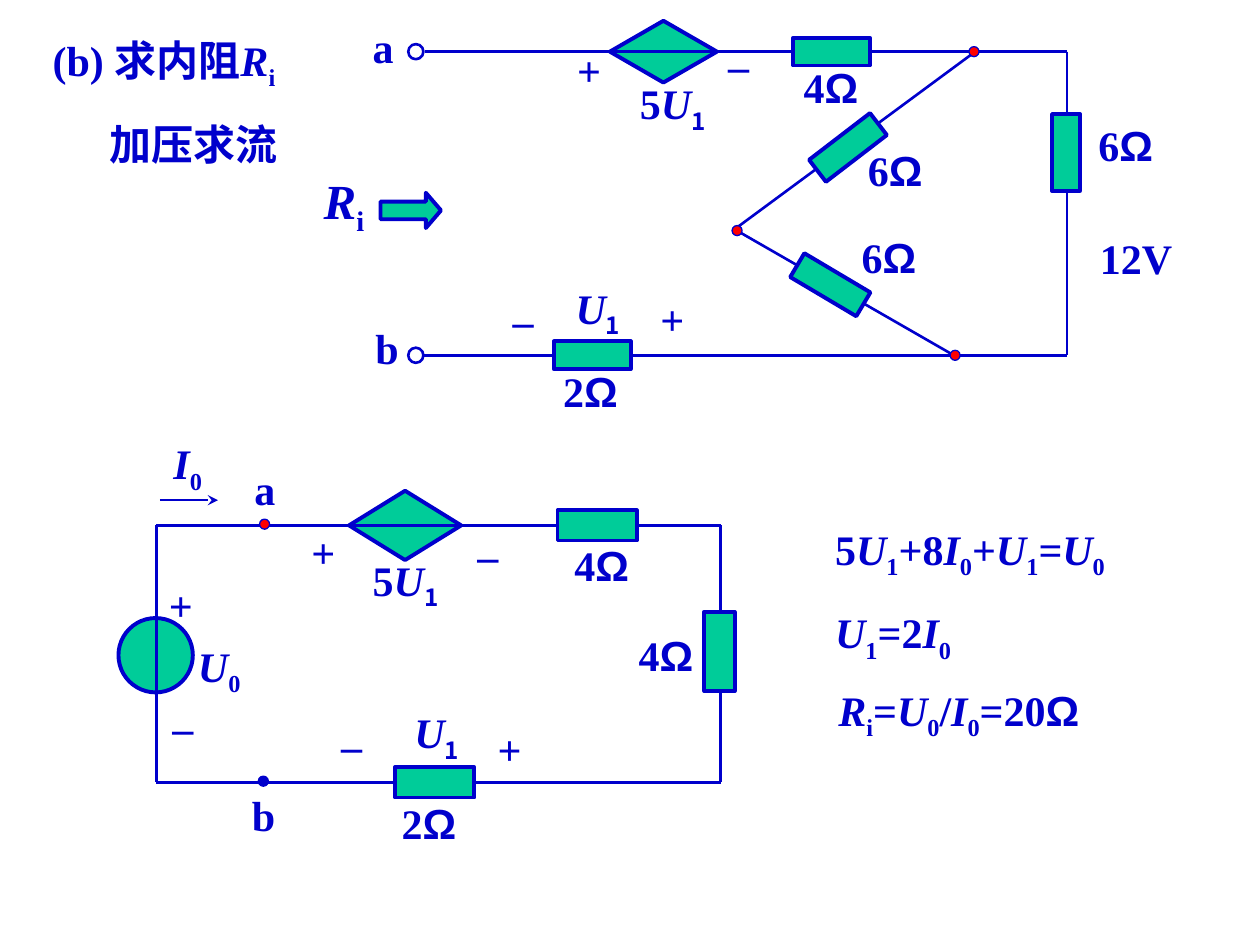
from pptx import Presentation
from pptx.dml.color import RGBColor
from pptx.enum.shapes import MSO_CONNECTOR, MSO_SHAPE
from pptx.enum.text import MSO_ANCHOR, MSO_AUTO_SIZE, PP_ALIGN
from pptx.oxml.ns import qn
from pptx.util import Inches, Pt
from lxml import etree

RECT, DIAMOND, OVAL = MSO_SHAPE.RECTANGLE, MSO_SHAPE.DIAMOND, MSO_SHAPE.OVAL
ARROW, STRAIGHT = MSO_SHAPE.RIGHT_ARROW, MSO_CONNECTOR.STRAIGHT
TOP, MIDDLE = MSO_ANCHOR.TOP, MSO_ANCHOR.MIDDLE
LEFT, CENTER = PP_ALIGN.LEFT, PP_ALIGN.CENTER
GROW = MSO_AUTO_SIZE.SHAPE_TO_FIT_TEXT

THEME = {
    "ink": RGBColor(0x00, 0x00, 0xCC), "body": RGBColor(0x00, 0xCC, 0x99),
    "node": RGBColor(0xFF, 0x00, 0x00),
    "serif": "Times New Roman", "sans": "Arial", "cjk": "Noto Sans CJK SC",
    "text": 24, "large": 28, "gap": 15,
    "wire": 1.5, "outline": 2.25, "thin": 0.75,
}

COLS = 100
SUB, SUB_CJK, ITALIC = "_", "^", "UIR"

HIGH, LOW, RIGHT = 4.1, 28.2, 84.7
UPPER = {
    "sources": [(DIAMOND, 52.65, HIGH, 8.5, 4.9)],
    "wires": [
        (33.7, HIGH, 48.6, HIGH), (48.6, HIGH, 56.6, HIGH),
        (56.7, HIGH, 62.8, HIGH), (68.8, HIGH, RIGHT, HIGH),
        (RIGHT, HIGH, RIGHT, 9.1), (RIGHT, 15.1, RIGHT, LOW),
        (33.6, LOW, 44, LOW), (49.9, LOW, RIGHT, LOW),
        (77.4, HIGH, 58.3, 18.2), (58.3, 18.2, 75.7, LOW),
    ],
    "resistor": (6.1, 2.2),
    "resistors": [(66, HIGH, 0), (84.6, 12.1, 90), (67.3, 11.7, 322.5),
                  (65.9, 22.6, 30.7), (47, LOW, 0)],
    "nodes": [(77.3, HIGH, "node"), (58.5, 18.3, "node"), (75.8, LOW, "node")],
    "terminals": [(33, HIGH), (33, LOW)],
    "labels": [
        (43.7, 28.5, 7.2, "2Ω"), (62.8, 4.4, 7.7, "4Ω"), (67.9, 11, 7.3, "6Ω"),
        (67.4, 17.9, 7.8, "6Ω"), (86.2, 9, 8.3, "6Ω"), (86.3, 18, 9.1, "12V"),
        (49.8, 5.7, 7.8, "5U^1"), (44.7, 21.9, 6, "U^1"),
    ],
    "marks": [
        (28.6, 1.2, 3.6, "a"), (28.8, 25.1, 3.8, "b"),
        (44.8, 3, 3.9, "+"), (56.8, 2.6, 3.6, "–"),
        (51.4, 22.8, 3.9, "+"), (39.7, 22.9, 3.6, "–"),
    ],
}

L_HIGH, L_LOW, L_LEFT, L_RIGHT = 41.7, 62.1, 12.4, 57.2
LOWER = {
    "sources": [(DIAMOND, 32.15, L_HIGH, 8.9, 5.5), (OVAL, 12.35, 52, 5.9, 5.9)],
    "wires": [
        (L_LEFT, L_HIGH, 20.6, L_HIGH), (20.6, L_HIGH, 27.8, L_HIGH),
        (27.8, L_HIGH, 36.7, L_HIGH), (36.7, L_HIGH, 44.4, L_HIGH),
        (50.6, L_HIGH, L_RIGHT, L_HIGH), (L_RIGHT, L_HIGH, L_RIGHT, L_LOW),
        (L_LEFT, L_HIGH, L_LEFT, L_LOW), (L_LEFT, L_LOW, 20.8, L_LOW),
        (20.8, L_LOW, 31.2, L_LOW), (37.8, L_LOW, L_RIGHT, L_LOW),
        (12.7, 39.7, 17.3, 39.7, "stealth"),
    ],
    "resistor": (6.3, 2.4),
    "resistors": [(47.4, L_HIGH, 0), (57.1, 51.7, 90), (34.5, L_LOW, 0)],
    "nodes": [(21, 41.6, "node"), (20.9, 62, "ink")],
    "terminals": [],
    "labels": [
        (30.9, 62.8, 7.3, "2Ω"), (44.6, 42.3, 7.8, "4Ω"), (49.7, 49.5, 7.6, "4Ω"),
        (28.6, 43.5, 10.9, "5U^1"), (31.9, 55.6, 6.1, "U^1"),
    ],
    "marks": [
        (19.2, 36.3, 3.6, "a"), (19, 62.2, 3.8, "b"),
        (14.4, 50.3, 6, "U_0"), (12.4, 34.2, 5, "I_0"),
        (23.7, 41.3, 3.9, "+"), (36.9, 41.5, 3.6, "–"),
        (38.5, 56.9, 3.9, "+"), (26.1, 56.6, 3.6, "–"),
        (12.4, 45.5, 3.9, "+"), (12.7, 55.2, 3.6, "–"),
    ],
}

HEADING = [("(b) 求内阻R_i", 0), ("加压求流", 4.5)]
EQUATIONS = [("5U_1+8I_0+U_1=U_0", 0), ("U_1=2I_0", 0)]
RESULT = "R_i=U_0/I_0=20Ω"

prs = Presentation()
prs.slide_width, prs.slide_height = Inches(10), Inches(7.5)
slide = prs.slides.add_slide(prs.slide_layouts[6])


def grid(*cells):
    return [round(c * prs.slide_width / COLS) for c in cells]


def split_runs(text):
    runs, mode = [], ""
    for ch in text:
        if ch in (SUB, SUB_CJK):
            mode = ch
            continue
        kind = mode or ("i" if ch in ITALIC else "Ω" if ch == "Ω" else "")
        mode = ""
        if runs and runs[-1][1] == kind:
            runs[-1][0] += ch
        else:
            runs.append([ch, kind])
    return runs


def add_text(shapes, x, y, w, h, lines, wrap=True, anchor=TOP, align=LEFT, size="text"):
    tf = shapes.add_textbox(*grid(x, y, w, h)).text_frame
    frame = {"word_wrap": wrap, "auto_size": GROW, "vertical_anchor": anchor}
    for name, value in frame.items():
        setattr(tf, name, value)
    for n, (text, indent) in enumerate(lines):
        p = tf.add_paragraph() if n else tf.paragraphs[0]
        p.alignment = align
        if n:
            p.space_before = Pt(THEME["gap"])
        if indent:
            p._p.get_or_add_pPr().set("marL", str(grid(indent)[0]))
        for part, kind in split_runs(text):
            r = p.add_run()
            r.text = part
            face = {"Ω": "sans", SUB_CJK: "cjk"}.get(kind, "serif")
            style = {"name": THEME[face], "size": Pt(THEME[size]),
                     "bold": True, "italic": kind == "i"}
            for name, value in style.items():
                setattr(r.font, name, value)
            r.font.color.rgb = THEME["ink"]
            rPr = r._r.get_or_add_rPr()
            etree.SubElement(rPr, qn("a:ea")).set("typeface", THEME["cjk"])
            if kind in (SUB, SUB_CJK):
                rPr.set("baseline", "-25000")


def add_part(shapes, shape, cx, cy, w, h, fill="body", line="outline", turn=0):
    sp = shapes.add_shape(shape, *grid(cx - w / 2, cy - h / 2, w, h))
    sp.shadow.inherit = False
    sp.rotation = turn
    if fill:
        sp.fill.solid()
        sp.fill.fore_color.rgb = THEME[fill]
    else:
        sp.fill.background()
    sp.line.color.rgb = THEME["ink"]
    sp.line.width = Pt(THEME[line])
    return sp


def add_wire(shapes, x1, y1, x2, y2, head=None):
    wire = shapes.add_connector(STRAIGHT, *grid(x1, y1, x2, y2))
    wire.line.color.rgb = THEME["ink"]
    wire.line.width = Pt(THEME["wire"])
    if head:
        etree.SubElement(wire.line._get_or_add_ln(), qn("a:tailEnd")).set("type", head)
    etree.SubElement(wire._element.spPr, qn("a:effectLst"))


def draw_circuit(circuit):
    shapes = slide.shapes.add_group_shape().shapes
    for source in circuit["sources"]:
        add_part(shapes, *source)
    for wire in circuit["wires"]:
        add_wire(shapes, *wire)
    for x, y, turn in circuit["resistors"]:
        add_part(shapes, RECT, x, y, *circuit["resistor"], turn=turn)
    for x, y, fill in circuit["nodes"]:
        add_part(shapes, OVAL, x, y, 0.8, 0.8, fill, "thin")
    for x, y in circuit["terminals"]:
        add_part(shapes, OVAL, x, y, 1.2, 1.2, None, "wire")
    for kind, style in (("labels", {}),
                        ("marks", {"wrap": False, "anchor": MIDDLE, "align": CENTER})):
        for x, y, w, text in circuit[kind]:
            h = 5.6 if SUB in text or SUB_CJK in text else 5
            add_text(shapes, x, y, w, h, [(text, 0)], **style)


add_text(slide.shapes, 24.7, 13, 8.1, 6.3, [("R_i", 0)], size="large")
arrow = add_part(slide.shapes, ARROW, 32.6, 16.7, 4.8, 2.8)
arrow.adjustments[0], arrow.adjustments[1] = 0.5, 0.43
add_text(slide.shapes, 3.2, 2.2, 25, 11.7, HEADING, anchor=MIDDLE)
add_text(slide.shapes, 65.3, 41, 25, 12.2, EQUATIONS, anchor=MIDDLE)
add_text(slide.shapes, 65.4, 53.8, 21.4, 5.6, [(RESULT, 0)], anchor=MIDDLE, align=CENTER)
for circuit in (UPPER, LOWER):
    draw_circuit(circuit)
prs.save("out.pptx")
